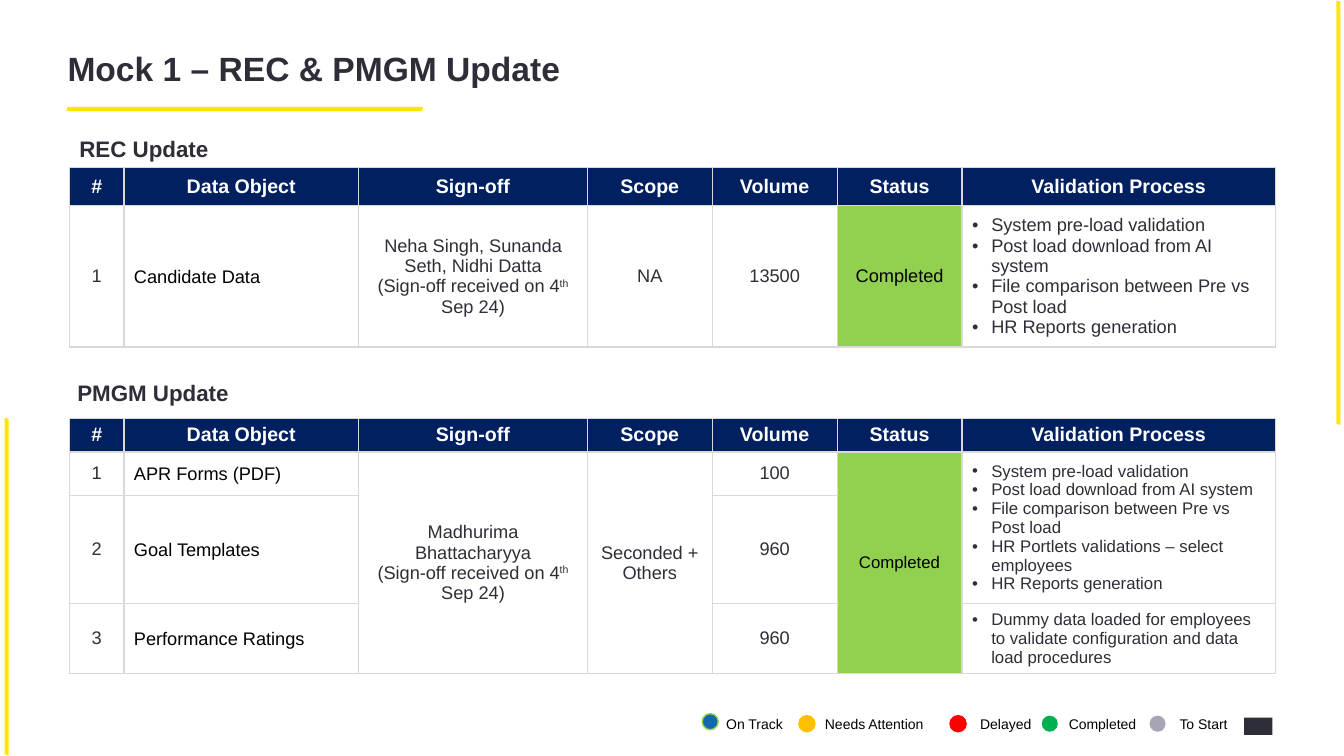
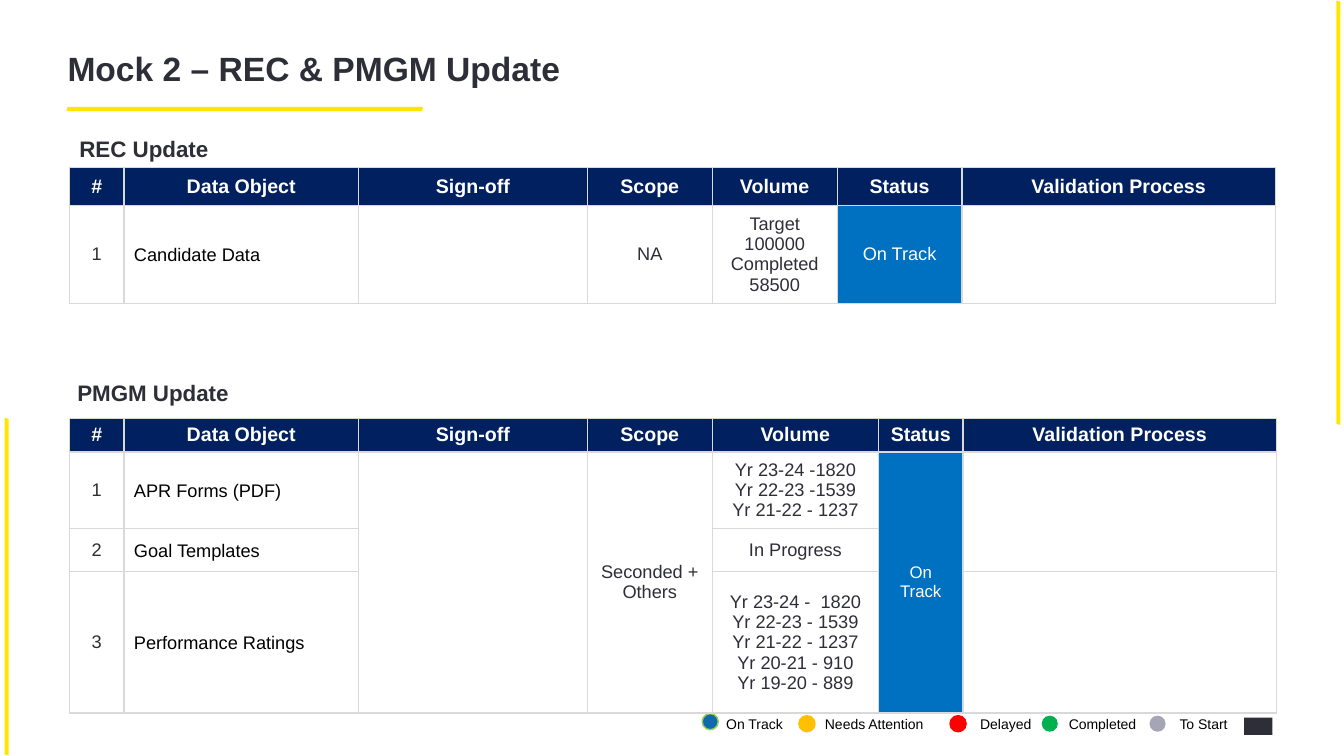
from dataclasses import dataclass

from lxml import etree
from pptx import Presentation
from pptx.dml.color import RGBColor
from pptx.enum.shapes import MSO_SHAPE
from pptx.enum.text import MSO_ANCHOR, MSO_AUTO_SIZE, PP_ALIGN
from pptx.oxml.ns import qn
from pptx.util import Inches, Pt

BAR = MSO_SHAPE.PARALLELOGRAM
DOT = MSO_SHAPE.FLOWCHART_CONNECTOR
RECT = MSO_SHAPE.RECTANGLE
MIDDLE = MSO_ANCHOR.MIDDLE
TOP = MSO_ANCHOR.TOP
GROW = MSO_AUTO_SIZE.SHAPE_TO_FIT_TEXT
FIXED = MSO_AUTO_SIZE.NONE
LEFT = PP_ALIGN.LEFT
CENTER = PP_ALIGN.CENTER


@dataclass(frozen=True)
class Theme:
    font: str = "Arial"
    dark: str = "2E2E38"
    black: str = "000000"
    white: str = "FFFFFF"
    yellow: str = "FFE600"
    navy: str = "002060"
    border: str = "D9D9D9"
    done: str = "92D050"
    on_track: str = "0070C0"
    title: int = 24
    heading: int = 16
    header: int = 14
    body: int = 13
    small: int = 12
    legend: int = 10


THEME = Theme()
STATUS = {"Completed": (THEME.done, THEME.black), "On Track": (THEME.on_track, THEME.white)}
HEADERS = ["#", "Data Object", "Sign-off", "Scope", "Volume", "Status", "Validation Process"]
OBJECT_COL, STATUS_COL, VALIDATION_COL = 1, 5, 6
COLS = [0.54, 2.33, 2.27, 1.24, 1.24, 1.24, 3.11]
WIDE_VOLUME_COLS = [0.54, 2.33, 2.27, 1.24, 1.65, 0.84, 3.11]
BARS = [
    (0.66, 1.06, 3.54, 0),
    (-1.61, 5.8, 3.35, 90),
    (11.18, 2.09, 4.21, 270),
]
LEGEND = [
    ("On Track", "1269AC", "92D050", 6.97, 7.08, 7.11, 0.87),
    ("Needs Attention", "FFC000", "FFC000", 7.93, 7.1, 8.09, 1.57),
    ("Delayed", "FF0000", "FF0000", 9.43, 7.1, 9.63, 0.91),
    ("Completed", "00B050", None, 10.34, 7.1, 10.51, 1.02),
    ("To Start", "A5A5B5", None, 11.41, 7.1, 11.61, 0.93),
]
CHECKS = [
    "System pre-load validation",
    "Post load download from AI system",
    "File comparison between Pre vs Post load",
]
REPORTS = "HR Reports generation"
SIGNED = "(Sign-off received on 4^th^ Sep 24)"


def rgb(color):
    return RGBColor.from_string(color)


class Deck:
    def __init__(self, theme):
        self.theme = theme
        self.prs = Presentation()
        self.prs.slide_width = Inches(13.34)
        self.prs.slide_height = Inches(7.5)
        self.s = None

    def slide(self, title):
        t = self.theme
        self.s = self.prs.slides.add_slide(self.prs.slide_layouts[6])
        self.shape(RECT, 12.35, 7.12, 0.28, 0.17, t.dark)
        for x, y, w, angle in BARS:
            self.shape(BAR, x, y, w, 0.04, t.yellow).rotation = angle
        tf = self.text(title, 0.67, 0.35, 12.01, 0.71, t.title, t.dark, True, MIDDLE, 0, FIXED)
        tf.paragraphs[0].line_spacing = 0.85
        self.legend()

    def shape(self, kind, x, y, w, h, fill, line=None):
        sp = self.s.shapes.add_shape(kind, Inches(x), Inches(y), Inches(w), Inches(h))
        sp.shadow.inherit = False
        sp.fill.solid()
        sp.fill.fore_color.rgb = rgb(fill)
        if line:
            sp.line.color.rgb = rgb(line)
            sp.line.width = Pt(1)
        else:
            sp.line.fill.background()
        return sp

    def runs(self, p, text, size, color, bold=False):
        for i, part in enumerate(text.split("^")):
            r = p.add_run()
            r.text = part
            r.font.name = self.theme.font
            r.font.size = Pt(size)
            r.font.bold = bold
            r.font.color.rgb = rgb(color)
            if i % 2:
                r._r.get_or_add_rPr().set("baseline", "30000")

    def text(self, text, x, y, w, h, size, color, bold=False, anchor=TOP, inset=None, fit=GROW):
        box = self.s.shapes.add_textbox(Inches(x), Inches(y), Inches(w), Inches(h))
        tf = box.text_frame
        tf.word_wrap = True
        tf.auto_size = fit
        tf.vertical_anchor = anchor
        if inset is not None:
            tf.margin_left = tf.margin_top = tf.margin_right = tf.margin_bottom = Inches(inset)
        self.runs(tf.paragraphs[0], text, size, color, bold)
        return tf

    def heading(self, text, x, y):
        self.text(text, x, y, 6.67, 0.37, self.theme.heading, self.theme.dark, True)

    def legend(self):
        for label, fill, line, dot_x, dot_y, x, w in LEGEND:
            self.shape(DOT, dot_x, dot_y, 0.16, 0.16, fill, line)
            self.text(label, x, 7.05, w, 0.27, self.theme.legend, self.theme.black)

    def bullet(self, p):
        pPr = p._p.get_or_add_pPr()
        pPr.set("marL", str(Inches(0.19)))
        pPr.set("indent", str(-Inches(0.19)))
        clr = etree.SubElement(pPr, qn("a:buClr"))
        etree.SubElement(clr, qn("a:srgbClr"), val=self.theme.dark)
        etree.SubElement(pPr, qn("a:buFont"), typeface=self.theme.font)
        etree.SubElement(pPr, qn("a:buChar"), char="•")

    def borders(self, cell):
        tcPr = cell._tc.get_or_add_tcPr()
        for side in ("lnL", "lnR", "lnT", "lnB"):
            ln = etree.SubElement(tcPr, qn(f"a:{side}"), w=str(Pt(1)))
            fill = etree.SubElement(ln, qn("a:solidFill"))
            etree.SubElement(fill, qn("a:srgbClr"), val=self.theme.border)

    def fill_cell(self, cell, content, col, is_header, detail_size):
        t = self.theme
        size, color, fill, align = t.body, t.dark, None, CENTER
        if is_header:
            size, color, fill = t.header, t.white, t.navy
        elif col == OBJECT_COL:
            color, align = t.black, LEFT
            cell.margin_left = Inches(0.1)
            cell.margin_top = cell.margin_right = Inches(0.01)
            cell.margin_bottom = 0
        elif col == STATUS_COL:
            size = detail_size
            fill, color = STATUS[content]
        elif col == VALIDATION_COL:
            size, align = detail_size, LEFT
        if fill:
            cell.fill.solid()
            cell.fill.fore_color.rgb = rgb(fill)
        cell.vertical_anchor = MIDDLE
        lines = [content] if isinstance(content, str) else content
        for i, line in enumerate(lines):
            tf = cell.text_frame
            p = tf.add_paragraph() if i else tf.paragraphs[0]
            p.alignment = align
            if line:
                if col == VALIDATION_COL and not is_header:
                    self.bullet(p)
                self.runs(p, line, size, color, is_header)

    def table(self, y, cols, heights, rows, detail_size):
        grid = [HEADERS] + rows
        frame = self.s.shapes.add_table(
            len(grid), len(cols), Inches(0.69), Inches(y), Inches(sum(cols)), Inches(sum(heights)))
        table = frame.table
        table.horz_banding = False
        for column, w in zip(table.columns, cols):
            column.width = Inches(w)
        for row, h in zip(table.rows, heights):
            row.height = Inches(h)
        for c in range(len(cols)):
            start = 0
            for r, row in enumerate(grid):
                cell = table.cell(r, c)
                self.borders(cell)
                cell.fill.background()
                if row[c] is not None:
                    start = r
                    self.fill_cell(cell, row[c], c, r == 0, detail_size)
                elif r + 1 == len(grid) or grid[r + 1][c] is not None:
                    table.cell(start, c).merge(cell)

    def update(self, title, rec_heights, rec_rows, pmgm_cols, pmgm_heights, pmgm_rows):
        self.slide(title)
        self.heading("PMGM Update", 0.67, 3.71)
        self.heading("REC Update", 0.69, 1.29)
        self.table(1.66, COLS, rec_heights, rec_rows, self.theme.body)
        self.table(4.15, pmgm_cols, pmgm_heights, pmgm_rows, self.theme.small)


def main():
    deck = Deck(THEME)
    deck.update(
        "Mock 1 – REC & PMGM Update",
        [0.38, 1.39],
        [["1", "Candidate Data", ["Neha Singh, Sunanda Seth, Nidhi Datta", SIGNED],
          "NA", "13500", "Completed", CHECKS + [REPORTS]]],
        COLS,
        [0.33, 0.43, 1.07, 0.7],
        [
            ["1", "APR Forms (PDF)", ["Madhurima Bhattacharyya", SIGNED], "Seconded + Others",
             "100", "Completed", CHECKS + ["HR Portlets validations – select employees", REPORTS]],
            ["2", "Goal Templates", None, None, "960", None, None],
            ["3", "Performance Ratings", None, None, "960", None,
             "Dummy data loaded for employees to validate configuration and data load procedures"],
        ],
    )
    deck.update(
        "Mock 2 – REC & PMGM Update",
        [0.38, 0.96],
        [["1", "Candidate Data", "", "NA", ["Target 100000", "Completed", "58500"],
          "On Track", ""]],
        WIDE_VOLUME_COLS,
        [0.33, 0.76, 0.43, 1.4],
        [
            ["1", "APR Forms (PDF)", "", "Seconded + Others",
             ["Yr 23-24 -1820", "Yr 22-23 -1539", "Yr 21-22 - 1237"], "On Track", ""],
            ["2", "Goal Templates", None, None, "In Progress", None, None],
            ["3", "Performance Ratings", None, None,
             ["Yr 23-24 -  1820", "Yr 22-23 - 1539", "Yr 21-22 - 1237",
              "Yr 20-21 - 910", "Yr 19-20 - 889"], None, ""],
        ],
    )
    deck.prs.save("out.pptx")


if __name__ == "__main__":
    main()
